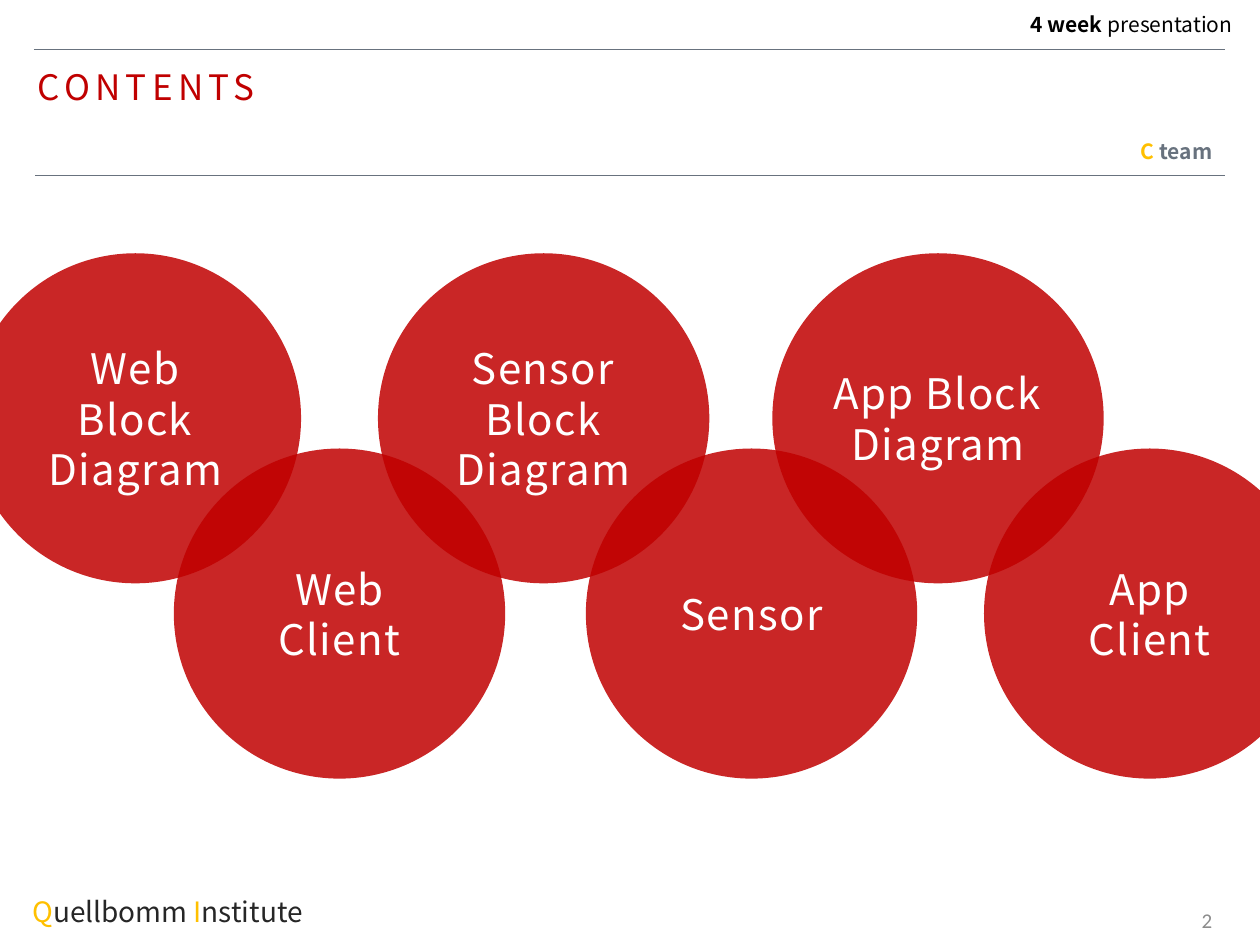
from pptx import Presentation
from pptx.dml.color import RGBColor
from pptx.enum.shapes import MSO_CONNECTOR, MSO_SHAPE
from pptx.enum.text import MSO_ANCHOR, PP_ALIGN
from pptx.oxml.ns import qn
from pptx.util import Inches, Pt
from lxml import etree

FONT = "Noto Sans CJK KR"
RED, GOLD, GRAY = "C00000", "FFC000", "68727E"
LEFT, CENTER, RIGHT = PP_ALIGN.LEFT, PP_ALIGN.CENTER, PP_ALIGN.RIGHT
TOP, MIDDLE = MSO_ANCHOR.TOP, MSO_ANCHOR.MIDDLE


def rgb(value):
    return RGBColor.from_string(value)


def add_run(p, text, size, color, bold=False, font=FONT, spacing=0):
    r = p.add_run()
    r.text = text
    r.font.size = Pt(size)
    r.font.name = font
    r.font.bold = bold
    r.font.color.rgb = rgb(color)
    if spacing:
        r.font._element.set("spc", str(round(spacing * 100)))


prs = Presentation()
prs.slide_width, prs.slide_height = Inches(10), Inches(7.5)
s = prs.slides.add_slide(prs.slide_layouts[6])

# Header rules
for x, y in [(0.27, 0.39), (0.28, 1.39)]:
    line = s.shapes.add_connector(MSO_CONNECTOR.STRAIGHT, Inches(x), Inches(y), Inches(9.72), Inches(y))
    line.line.color.rgb = rgb(GRAY)
    line.line.width = Pt(0.25)
    etree.SubElement(line._element.spPr, qn("a:effectLst"))

# Title, footer, header labels and page number
labels = [
    ((0.2, 0.51, 2.44, 0.4), LEFT, TOP, 0.9,
     [("CONTENTS", 20, RED, False, FONT, 3)]),
    ((0.16, 6.92, 4.42, 0.46), LEFT, TOP, 1.5,
     [("Q", 16, GOLD), ("uellbomm ", 16, "262626"), ("I", 16, GOLD), ("nstitute", 16, "262626")]),
    ((7.83, 0.08, 2.05, 0.26), RIGHT, TOP, 0.8,
     [("4 week ", 12, "000000", True), ("presentation", 12, "000000")]),
    ((7.67, 1.09, 2.05, 0.26), RIGHT, TOP, 0.8,
     [("C", 12, GOLD, True), (" team", 12, GRAY, True)]),
    ((7.47, 7.1, 2.25, 0.4), RIGHT, MIDDLE, 1.0,
     [("2", 12, "8C8C8C", False, "Calibri")]),
]
for box, align, anchor, line_spacing, runs in labels:
    tf = s.shapes.add_textbox(*map(Inches, box)).text_frame
    tf.word_wrap = True
    tf.vertical_anchor = anchor
    p = tf.paragraphs[0]
    p.alignment = align
    p.line_spacing = line_spacing
    for run in runs:
        add_run(p, *run)

# Overlapping translucent circles in two rows, back to front
UPPER, LOWER = 2.01, 3.56
circles = [
    (-0.24, UPPER, ["Web Block Diagram"]),
    (1.38, LOWER, ["Web", "Client"]),
    (6.13, UPPER, ["App Block Diagram"]),
    (7.81, LOWER, ["App", "Client"]),
    (4.65, LOWER, ["Sensor"]),
    (3, UPPER, ["Sensor Block Diagram"]),
]
for x, y, lines in circles:
    sp = s.shapes.add_shape(MSO_SHAPE.OVAL, Inches(x), Inches(y), Inches(2.63), Inches(2.62))
    sp.shadow.inherit = False
    sp.line.fill.background()
    sp.fill.solid()
    sp.fill.fore_color.rgb = rgb(RED)
    color = sp._element.spPr.find(qn("a:solidFill")).find(qn("a:srgbClr"))
    etree.SubElement(color, qn("a:alpha")).set("val", "85000")
    tf = sp.text_frame
    tf.word_wrap = True
    tf.vertical_anchor = MIDDLE
    for i, text in enumerate(lines):
        p = tf.add_paragraph() if i else tf.paragraphs[0]
        p.alignment = CENTER
        add_run(p, text, 24, "FFFFFF", spacing=0.8)

prs.save("out.pptx")
